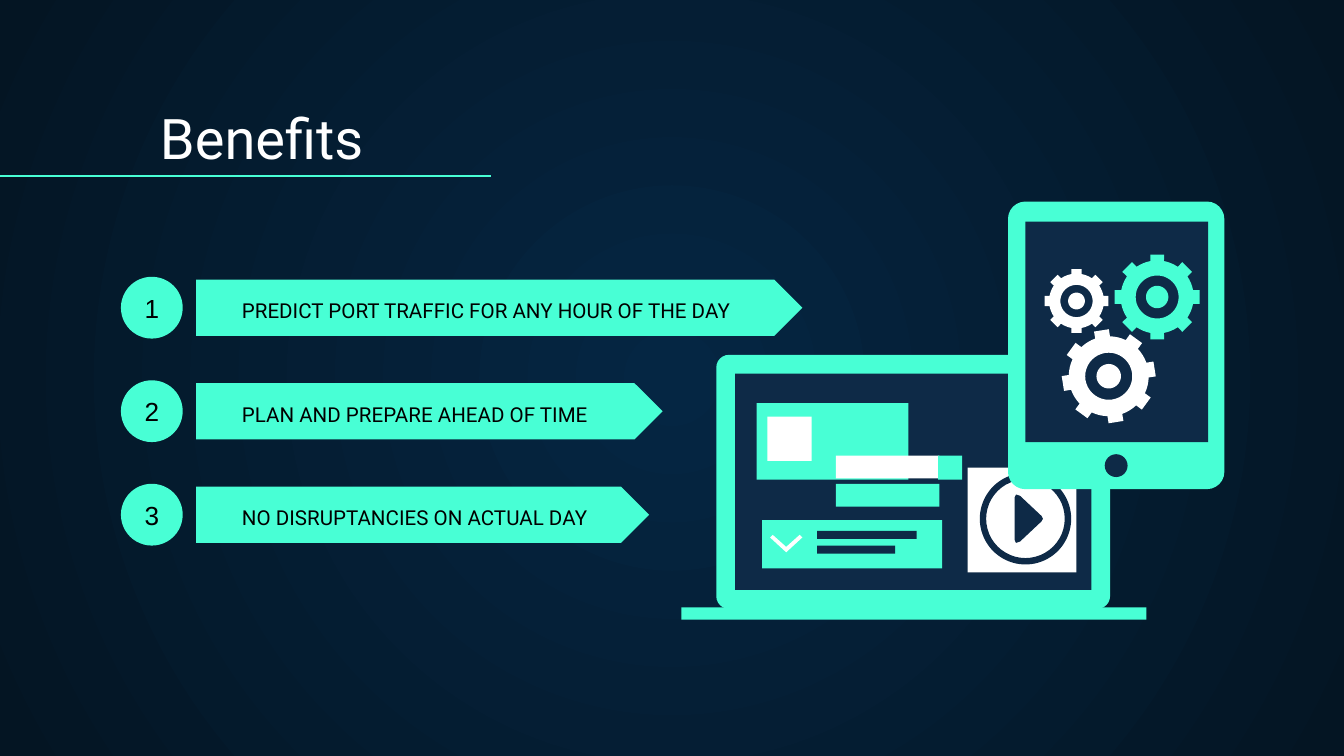
from math import cos, pi, sin, radians

from lxml import etree
from pptx import Presentation
from pptx.dml.color import RGBColor
from pptx.enum.shapes import MSO_CONNECTOR, MSO_SHAPE
from pptx.enum.text import MSO_ANCHOR, MSO_AUTO_SIZE, PP_ALIGN
from pptx.oxml.ns import qn
from pptx.util import Inches, Pt

RECT, ROUND = MSO_SHAPE.RECTANGLE, MSO_SHAPE.ROUNDED_RECTANGLE
OVAL, DONUT, ARROW = MSO_SHAPE.OVAL, MSO_SHAPE.DONUT, MSO_SHAPE.PENTAGON
LEFT, CENTER = PP_ALIGN.LEFT, PP_ALIGN.CENTER
MIDDLE, BOTTOM = MSO_ANCHOR.MIDDLE, MSO_ANCHOR.BOTTOM
STRAIGHT, NO_FIT = MSO_CONNECTOR.STRAIGHT, MSO_AUTO_SIZE.NONE

MINT = RGBColor(0x48, 0xFF, 0xD5)
NAVY = RGBColor(0x0E, 0x2A, 0x47)
WHITE = RGBColor(0xFF, 0xFF, 0xFF)
BLACK = RGBColor(0, 0, 0)
BG_CENTER = RGBColor(0x05, 0x26, 0x43)
BG_EDGE = RGBColor(0x04, 0x15, 0x23)

TITLE = "Benefits"
BENEFITS = [
    ("PREDICT PORT TRAFFIC FOR ANY HOUR OF THE DAY", 4.51),
    ("PLAN AND PREPARE AHEAD OF TIME", 3.47),
    ("NO DISRUPTANCIES ON ACTUAL DAY", 3.37),
]
ROW_TOP, ROW_PITCH = 2.06, 0.77
CIRCLE_SIZE, ARROW_HEIGHT = 0.46, 0.42

LAPTOP = [
    (ROUND, 5.33, 2.64, 2.93, 1.89, MINT, 0.05),
    (RECT, 5.47, 2.78, 2.65, 1.61, NAVY, None),
    (RECT, 5.07, 4.52, 3.46, 0.09, MINT, None),
    (RECT, 5.63, 3.0, 1.13, 0.57, MINT, None),
    (RECT, 5.71, 3.1, 0.33, 0.33, WHITE, None),
    (RECT, 5.67, 3.87, 1.34, 0.36, MINT, None),
    (RECT, 6.08, 3.95, 0.74, 0.06, NAVY, None),
    (RECT, 6.08, 4.06, 0.58, 0.06, NAVY, None),
    (RECT, 6.22, 3.6, 0.77, 0.17, MINT, None),
    (RECT, 6.22, 3.39, 0.77, 0.17, WHITE, None),
    (RECT, 6.98, 3.39, 0.18, 0.18, MINT, None),
    (RECT, 7.2, 3.48, 0.81, 0.78, WHITE, None),
    (DONUT, 7.29, 3.52, 0.68, 0.68, NAVY, 0.07),
]
TABLET = [
    (ROUND, 7.5, 1.5, 1.61, 2.14, MINT, 0.08),
    (RECT, 7.63, 1.65, 1.36, 1.64, NAVY, None),
    (OVAL, 8.22, 3.38, 0.17, 0.17, NAVY, None),
]
CHECK = [(5.75, 3.98), (5.85, 4.07), (5.95, 3.98), (5.97, 4.0),
         (5.85, 4.11), (5.73, 4.0)]
PLAY = [(7.55, 3.7), (7.56, 3.68), (7.59, 3.69), (7.75, 3.84), (7.76, 3.86),
        (7.75, 3.88), (7.59, 4.03), (7.56, 4.04), (7.55, 4.02)]
GEARS = [
    (8.61, 2.21, 0.32, 0, MINT),
    (8.01, 2.24, 0.24, 0, WHITE),
    (8.25, 2.8, 0.35, -9, WHITE),
]


def paint(shape, color):
    shape.shadow.inherit = False
    shape.fill.solid()
    shape.fill.fore_color.rgb = color
    shape.line.fill.background()


def add_block(s, kind, x, y, w, h, color, adj=None):
    shape = s.shapes.add_shape(kind, Inches(x), Inches(y), Inches(w), Inches(h))
    if adj is not None:
        shape.adjustments[0] = adj
    paint(shape, color)
    return shape


def add_outline(s, contours, color):
    contours = [[(Inches(x), Inches(y)) for x, y in c] for c in contours]
    builder = s.shapes.build_freeform(*contours[0][0])
    builder.add_line_segments(contours[0][1:])
    for contour in contours[1:]:
        builder.move_to(*contour[0])
        builder.add_line_segments(contour[1:])
    paint(builder.convert_to_shape(), color)


def circle(cx, cy, radius, steps=40):
    angles = [2 * pi * i / steps for i in range(steps)]
    return [(cx + radius * cos(a), cy + radius * sin(a)) for a in angles]


def gear_rim(cx, cy, radius, tilt, teeth=8):
    step, root, tip = 2 * pi / teeth, 0.85 * radius, 0.16
    base = tip * radius / root
    profile = [(-base, root), (-tip, radius), (tip, radius), (base, root)]
    profile += [(base + (step - 2 * base) * i / 4, root) for i in (1, 2, 3)]
    points = []
    for tooth in range(teeth):
        middle = radians(tilt) + tooth * step
        points += [(cx + d * cos(middle + a), cy + d * sin(middle + a))
                   for a, d in profile]
    return points


def set_text(shape, text, font, size, color, align, anchor, margins):
    tf = shape.text_frame
    tf.text = text
    tf.auto_size = NO_FIT
    tf.word_wrap = True
    tf.vertical_anchor = anchor
    tf.margin_left, tf.margin_top, tf.margin_right, tf.margin_bottom = map(
        Inches, margins)
    p = tf.paragraphs[0]
    p.alignment = align
    r = p.runs[0]
    r.font.name, r.font.size, r.font.color.rgb = font, Pt(size), color


def set_background(s):
    fill = s.background.fill
    fill.gradient()
    for stop, color in zip(fill.gradient_stops, (BG_CENTER, BG_EDGE)):
        stop.color.rgb = color
    grad = s.element.find(".//" + qn("a:gradFill"))
    grad.remove(grad.find(qn("a:lin")))
    shade = etree.SubElement(grad, qn("a:path"), path="circle")
    etree.SubElement(shade, qn("a:fillToRect"),
                     dict.fromkeys("ltrb", "50000"))


def main():
    prs = Presentation()
    prs.slide_width = Inches(10)
    prs.slide_height = prs.slide_width * 9 // 16
    s = prs.slides.add_slide(prs.slide_layouts[5])
    set_background(s)

    title = s.shapes.title
    title.left, title.top = Inches(1.09), Inches(0.71)
    title.width, title.height = Inches(8.57), Inches(0.66)
    set_text(title, TITLE, "Roboto", 30, WHITE, LEFT, BOTTOM, [0.1] * 4)

    rule = s.shapes.add_connector(STRAIGHT, 0, Inches(1.31),
                                  Inches(3.65), Inches(1.31))
    rule.line.color.rgb = MINT
    rule.line.width = Pt(0.75)
    etree.SubElement(rule.element.spPr, qn("a:effectLst"))

    for i, (label, width) in enumerate(BENEFITS):
        top = ROW_TOP + i * ROW_PITCH
        arrow_top = top + (CIRCLE_SIZE - ARROW_HEIGHT) / 2
        arrow = add_block(s, ARROW, 1.46, arrow_top, width, ARROW_HEIGHT, MINT)
        set_text(arrow, label, "Roboto", 11, BLACK, LEFT, MIDDLE,
                 (0.34, 0.04, 0, 0))
        badge = add_block(s, OVAL, 0.9, top, CIRCLE_SIZE, CIRCLE_SIZE, MINT)
        set_text(badge, str(i + 1), "Arial", 14, BLACK, CENTER, MIDDLE, [0] * 4)

    for block in LAPTOP:
        add_block(s, *block)
    add_outline(s, [CHECK], WHITE)
    add_outline(s, [PLAY], NAVY)
    for block in TABLET:
        add_block(s, *block)
    for cx, cy, radius, tilt, color in GEARS:
        add_outline(s, [gear_rim(cx, cy, radius, tilt),
                        circle(cx, cy, 0.5 * radius),
                        circle(cx, cy, 0.26 * radius)], color)

    prs.save("out.pptx")


if __name__ == "__main__":
    main()
